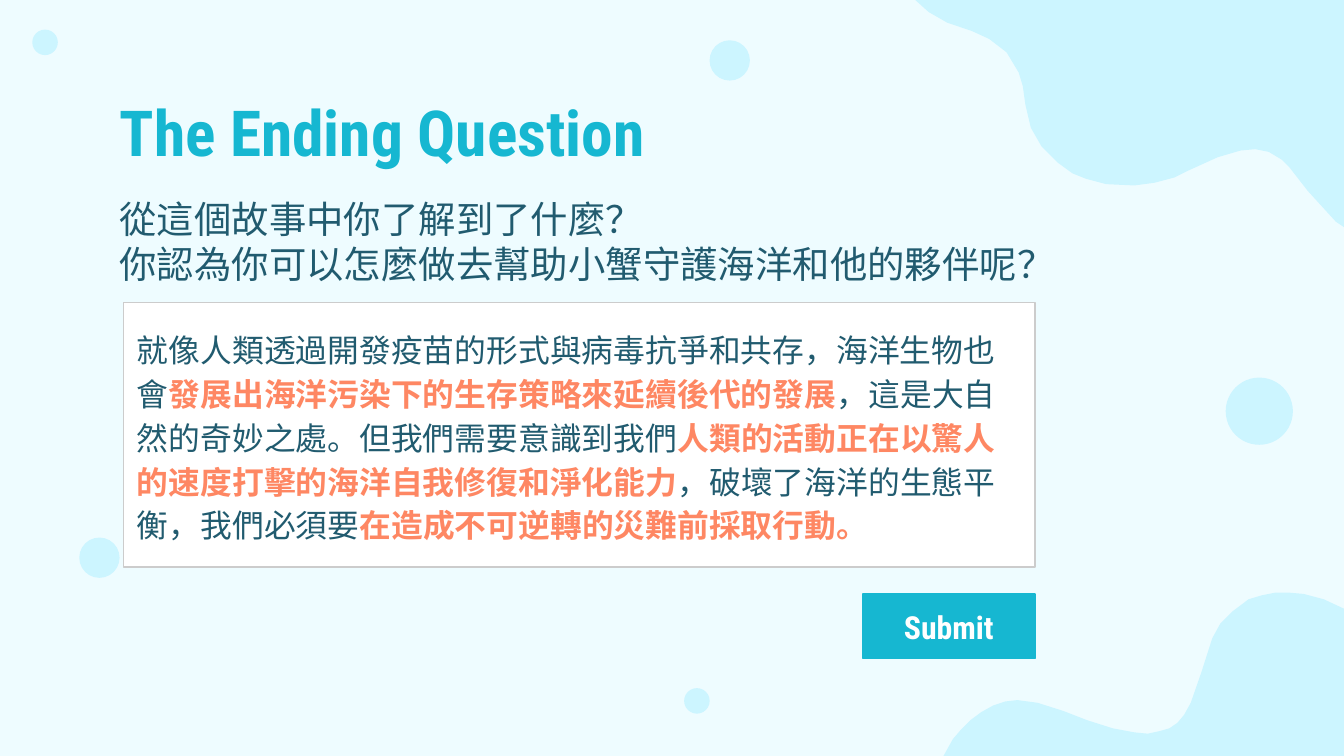
from pptx import Presentation
from pptx import util as u
from pptx.dml import color
from pptx.enum import shapes, text
from pptx.oxml import xmlchemy

COLUMNS, ROWS = 100, 56.25
CELL = u.Inches(10) // COLUMNS
PALE, TEAL, INK, CORAL, WHITE = "CCF5FF", "16B7D1", "215B6F", "FE8763", "FFFFFF"
BODY_FONT, DISPLAY_FONT = "Arial", "Roboto Condensed"

TOP_WAVE = [
    (0, 0), (1, 0.9), (2.4, 1.7), (4.2, 2.3), (5.5, 2.9), (6.8, 3.9), (7.7, 5.4),
    (8, 6.4), (8.2, 7.8), (8.6, 9.5), (9.4, 10.9), (10.6, 12.1), (11.7, 12.9),
    (12.7, 13.3), (14.2, 13.7), (16.3, 13.8), (17.8, 13.6), (19.3, 13.2),
    (20.3, 12.7), (22.5, 11.7), (24.2, 11.2), (25.3, 11.1), (26.3, 11.3),
    (27.3, 11.9), (27.8, 12.4), (29.2, 14.2), (31.3, 16.5), (31.9, 16.9), (31.9, 0),
]
BOTTOM_WAVE = [
    (0, 12.15), (0.2, 11.8), (0.7, 10.9), (1.3, 10.2), (2, 9.5), (2.8, 8.9),
    (3.7, 8.4), (4.6, 8.1), (5.5, 8), (7, 8.2), (8.9, 8.8), (10.7, 9.5),
    (12.6, 10.1), (14.2, 10.4), (15.2, 10.5), (16.1, 10.3), (16.8, 10.1),
    (17.4, 9.7), (17.9, 9.1), (18.4, 8.2), (19.2, 5.9), (20, 3.4), (20.6, 2.3),
    (21.5, 1.4), (22.7, 0.5), (23.7, 0.2), (24.7, 0), (25.7, 0), (26.8, 0.1),
    (28.3, 0.5), (29.8, 1.2), (29.8, 12.15),
]
BUBBLES = [(91.2, 28.1, 5), (5.9, 40, 3), (52.8, 3, 3), (50.9, 51.2, 1.9), (2.4, 2.2, 1.9)]
QUESTIONS = [
    "從這個故事中你了解到了什麼？",
    "你認為你可以怎麼做去幫助小蟹守護海洋和他的夥伴呢？",
]
ANSWER = [
    ("就像人類透過開發疫苗的形式與病毒抗爭和共存，海洋生物也會", False),
    ("發展出海洋污染下的生存策略來延續後代的發展", True),
    ("，這是大自然的奇妙之處。但我們需要意識到我們", False),
    ("人類的活動正在以驚人的速度打擊的海洋自我修復和淨化能力", True),
    ("，破壞了海洋的生態平衡，我們必須要", False),
    ("在造成不可逆轉的災難前採取行動。", True),
]


def grid(*cells):
    """Convert grid cells to slide lengths."""
    return [u.Emu(round(cell * CELL)) for cell in cells]


def rgb(value):
    """Turn a hex string into a colour."""
    return color.RGBColor.from_string(value)


def paint(shape, fill, line=None):
    """Give a shape a flat fill and an optional thin outline."""
    shape.shadow.inherit = False
    shape.fill.solid()
    shape.fill.fore_color.rgb = rgb(fill)
    if line:
        shape.line.color.rgb = rgb(line)
        shape.line.width = u.Pt(0.75)
    else:
        shape.line.fill.background()


def add_run(paragraph, words, size, font, hue, bold=False):
    """Append one formatted run to a paragraph."""
    run = paragraph.add_run()
    run.text = words
    run.font.size, run.font.name, run.font.bold = u.Pt(size), font, bold
    run.font.color.rgb = rgb(hue)


def set_frame(shape, anchor):
    """Prepare a wrapping text frame and return its first paragraph."""
    frame = shape.text_frame
    frame.word_wrap = True
    frame.auto_size = text.MSO_AUTO_SIZE.NONE
    frame.vertical_anchor = anchor
    frame.margin_left = frame.margin_right = u.Inches(0.1)
    frame.margin_top = frame.margin_bottom = u.Inches(0.1)
    return frame.paragraphs[0]


def place(shape, box):
    """Move a placeholder to a grid box."""
    shape.left, shape.top, shape.width, shape.height = grid(*box)


def add_wave(slide, box, outline):
    """Draw a wavy corner from points counted from the box's corner."""
    left, top = box
    points = [tuple(grid(left + x, top + y)) for x, y in outline]
    builder = slide.shapes.build_freeform(*points[0])
    builder.add_line_segments(points[1:], close=True)
    paint(builder.convert_to_shape(), PALE)


def add_bubbles(slide, bubbles):
    """Scatter round bubbles over the background."""
    for left, top, size in bubbles:
        bubble = slide.shapes.add_shape(
            shapes.MSO_SHAPE.OVAL, *grid(left, top, size, size))
        paint(bubble, PALE)


def add_heading(slide, box):
    """Fill the title placeholder."""
    title = slide.shapes.title
    place(title, box)
    paragraph = set_frame(title, text.MSO_ANCHOR.TOP)
    paragraph.alignment = text.PP_ALIGN.LEFT
    add_run(paragraph, "The Ending Question", 34, DISPLAY_FONT, TEAL, True)


def add_questions(slide, box):
    """Fill the body placeholder with one unbulleted line per question."""
    body = slide.placeholders[1]
    place(body, box)
    first = set_frame(body, text.MSO_ANCHOR.TOP)
    for index, question in enumerate(QUESTIONS):
        paragraph = body.text_frame.add_paragraph() if index else first
        paragraph.space_before = u.Pt(0)
        paragraph.line_spacing = 1.0
        properties = paragraph._p.get_or_add_pPr()
        properties.set("marL", "0")
        properties.set("indent", "0")
        properties.append(xmlchemy.OxmlElement("a:buNone"))
        add_run(paragraph, question, 20, BODY_FONT, INK)


def add_answer_form(slide, box):
    """Place the answer field and, under its right end, the submit button."""
    left, top, width, height = box
    field = slide.shapes.add_shape(shapes.MSO_SHAPE.RECTANGLE, *grid(*box))
    paint(field, WHITE, "CCCCCC")
    answer = set_frame(field, text.MSO_ANCHOR.MIDDLE)
    answer.alignment = text.PP_ALIGN.LEFT
    answer.line_spacing = 1.15
    for words, stressed in ANSWER:
        add_run(answer, words, 17, BODY_FONT, CORAL if stressed else INK, stressed)

    button_width, button_height, gap = 12.8, 4.8, 2
    button = slide.shapes.add_shape(
        shapes.MSO_SHAPE.RECTANGLE,
        *grid(left + width - button_width, top + height + gap, button_width, button_height))
    paint(button, TEAL, TEAL)
    label = set_frame(button, text.MSO_ANCHOR.MIDDLE)
    label.alignment = text.PP_ALIGN.CENTER
    add_run(label, "Submit", 17, DISPLAY_FONT, WHITE, True)


def main():
    """Build the question slide and save it."""
    deck = Presentation()
    deck.slide_width, deck.slide_height = grid(COLUMNS, ROWS)
    slide = deck.slides.add_slide(deck.slide_layouts[1])
    slide.background.fill.solid()
    slide.background.fill.fore_color.rgb = rgb("EEFCFF")
    add_wave(slide, (68.1, 0), TOP_WAVE)
    add_wave(slide, (70.2, 44.1), BOTTOM_WAVE)
    add_bubbles(slide, BUBBLES)
    add_heading(slide, (7.9, 5.9, 92.1, 6.3))
    add_questions(slide, (7.9, 13.6, 85.1, 37.4))
    add_answer_form(slide, (9.2, 22.5, 67.8, 19.7))
    deck.save("out.pptx")


if __name__ == "__main__":
    main()
